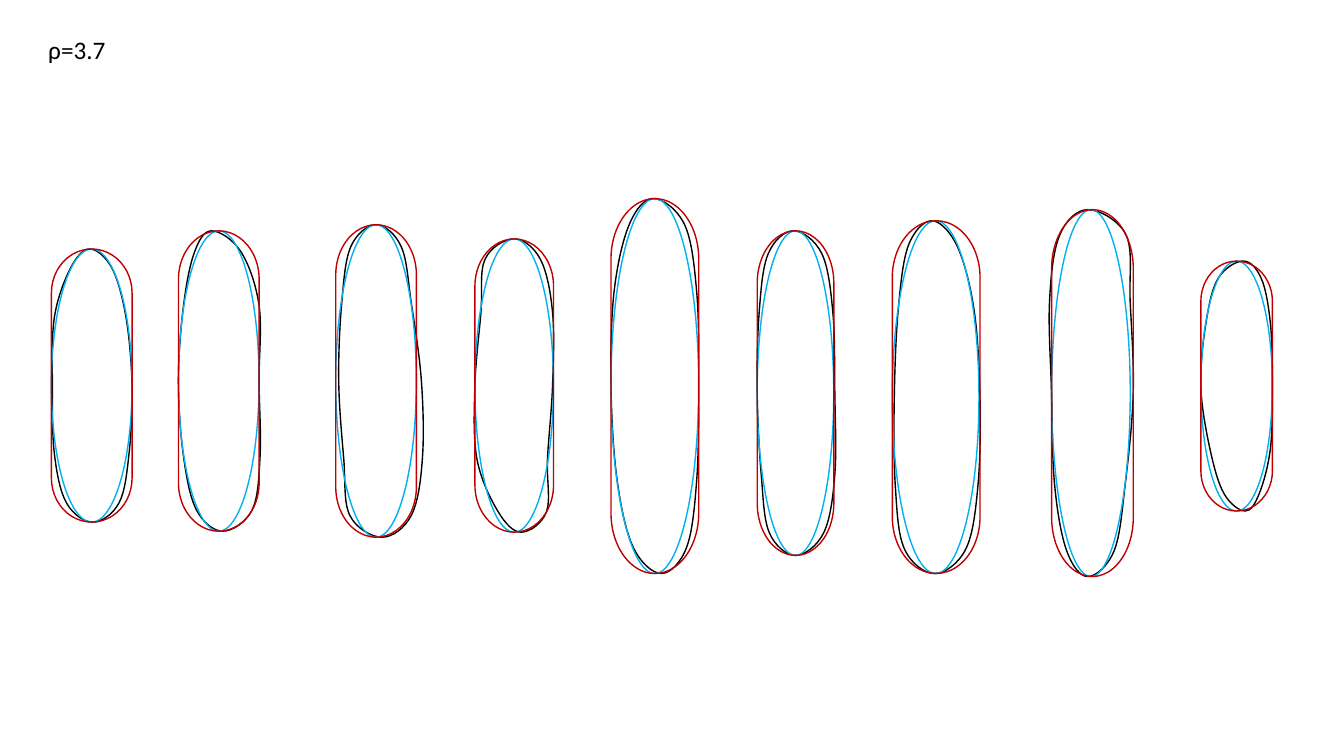
from dataclasses import dataclass
from math import cos, radians, sin

from lxml import etree
from pptx import Presentation
from pptx.dml.color import RGBColor
from pptx.enum.shapes import MSO_SHAPE
from pptx.enum.text import MSO_AUTO_SIZE
from pptx.oxml import parse_xml
from pptx.oxml.ns import nsdecls, qn
from pptx.shapes.autoshape import Shape
from pptx.shapes.shapetree import GroupShapes
from pptx.util import Inches, Pt

ELLIPSE = MSO_SHAPE.OVAL
CAPSULE = MSO_SHAPE.FLOWCHART_TERMINATOR
GROW = MSO_AUTO_SIZE.SHAPE_TO_FIT_TEXT

Point = tuple[float, float]
Profile = tuple[float, ...]

# Heights at which a cell's two sides are measured, as shares of its length
LEVELS: Profile = (0.07, 0.25, 0.5, 0.75, 0.93)


@dataclass(frozen=True)
class Theme:
    font: str = "Calibri"
    label_size: Pt = Pt(18)
    line_width: Pt = Pt(1)
    ink: RGBColor = RGBColor(0x00, 0x00, 0x00)
    ellipse: RGBColor = RGBColor(0x00, 0xB0, 0xF0)
    capsule: RGBColor = RGBColor(0xC0, 0x00, 0x00)


@dataclass(frozen=True)
class Cell:
    """Frame of a cell in inches; tips and sides are distances from its left edge."""
    left: float
    top: float
    width: float
    height: float
    tilt: float
    tips: Point
    left_side: Profile
    right_side: Profile
    capsule_extra: float = 0

    def outline(self) -> list[Point]:
        """Top tip, down the left side, bottom tip, up the right side."""
        top_tip, bottom_tip = self.tips
        left = list(zip(self.left_side, LEVELS))
        right = list(zip(self.right_side, LEVELS))
        loop = [(top_tip, 0), *left, (bottom_tip, 1), *reversed(right)]
        return [(self.left + x, self.top + level * self.height) for x, level in loop]


THEME = Theme()

CELLS = [
    Cell(0.51, 2.47, 0.8, 2.71, 314.4, (0.38, 0.41),
         (0.19, 0.03, 0.01, 0.03, 0.15), (0.6, 0.74, 0.8, 0.77, 0.67)),
    Cell(1.77, 2.29, 0.8, 2.98, 326, (0.33, 0.44),
         (0.16, 0.05, 0, 0.05, 0.18), (0.62, 0.8, 0.8, 0.81, 0.73)),
    Cell(3.33, 2.23, 0.8, 3.1, 13.9, (0.4, 0.46),
         (0.15, 0.06, 0.03, 0.08, 0.14), (0.65, 0.75, 0.85, 0.86, 0.75)),
    Cell(4.71, 2.37, 0.78, 2.91, 27.7, (0.39, 0.46),
         (0.1, 0.06, 0, 0.02, 0.23), (0.65, 0.77, 0.77, 0.72, 0.71)),
    Cell(6.06, 1.97, 0.87, 3.72, 29.8, (0.42, 0.5),
         (0.18, 0.03, 0, 0.06, 0.22), (0.73, 0.85, 0.87, 0.85, 0.75)),
    Cell(7.51, 2.29, 0.76, 3.22, 24.2, (0.36, 0.38),
         (0.11, 0.02, 0, 0.04, 0.12), (0.64, 0.75, 0.77, 0.77, 0.66)),
    Cell(8.85, 2.19, 0.86, 3.5, 315.8, (0.39, 0.42),
         (0.16, 0.06, 0.02, 0.03, 0.12), (0.64, 0.81, 0.87, 0.85, 0.73), 0.01),
    Cell(10.43, 2.08, 0.78, 3.64, 341.7, (0.36, 0.36),
         (0.08, -0.02, 0, 0.03, 0.15), (0.74, 0.78, 0.81, 0.73, 0.62), 0.03),
    Cell(11.91, 2.59, 0.71, 2.48, 279.9, (0.42, 0.44),
         (0.17, 0.05, 0, 0.09, 0.23), (0.6, 0.69, 0.71, 0.69, 0.58)),
]


def rotate(point: Point, degrees: float) -> Point:
    x, y = point
    c, s = cos(radians(degrees)), sin(radians(degrees))
    return x * c - y * s, x * s + y * c


def untilt(points: list[Point], tilt: float) -> list[Point]:
    """Points which, turned by tilt about the middle of their frame, land on the given ones."""
    level = [rotate(point, -tilt) for point in points]
    xs, ys = zip(*level)
    middle = (min(xs) + max(xs)) / 2, (min(ys) + max(ys)) / 2
    target = rotate(middle, tilt)
    dx, dy = target[0] - middle[0], target[1] - middle[1]
    return [(x + dx, y + dy) for x, y in level]


def style_line(shape: Shape, color: RGBColor) -> None:
    shape.shadow.inherit = False
    shape.fill.background()
    shape.line.color.rgb = color
    shape.line.width = THEME.line_width


def draw_outline(shapes: GroupShapes, cell: Cell) -> None:
    """Closed smooth curve whose tangents follow the neighbouring points."""
    points = [(Inches(x), Inches(y)) for x, y in untilt(cell.outline(), cell.tilt)]
    builder = shapes.build_freeform(*points[0])
    builder.add_line_segments(points[1:] + points[:1], close=True)
    outline = builder.convert_to_shape()
    left, top = outline.left, outline.top

    count = len(points)
    for i, straight in enumerate(list(outline._element.iter(qn("a:lnTo")))):
        before, start, end, after = (points[(i + k) % count] for k in (-1, 0, 1, 2))
        leaving = [s + (e - b) / 6 for b, s, e in zip(before, start, end)]
        arriving = [e - (a - s) / 6 for s, e, a in zip(start, end, after)]
        curve = parse_xml(f"<a:cubicBezTo {nsdecls('a')}/>")
        for x, y in (leaving, arriving, end):
            etree.SubElement(curve, qn("a:pt"), x=str(round(x - left)), y=str(round(y - top)))
        straight.getparent().replace(straight, curve)

    outline.rotation = cell.tilt
    style_line(outline, THEME.ink)


def draw_cell(shapes: GroupShapes, cell: Cell) -> None:
    draw_outline(shapes, cell)

    # Fitted ellipse
    ellipse = shapes.add_shape(ELLIPSE, Inches(cell.left), Inches(cell.top),
                               Inches(cell.width), Inches(cell.height))
    style_line(ellipse, THEME.ellipse)

    # Fitted capsule, a lying terminator turned upright
    thickness = cell.width + cell.capsule_extra
    overhang = (cell.height - thickness) / 2
    capsule = shapes.add_shape(CAPSULE, Inches(cell.left - overhang), Inches(cell.top + overhang),
                               Inches(cell.height), Inches(thickness))
    capsule.rotation = 90
    style_line(capsule, THEME.capsule)


def main() -> None:
    deck = Presentation()
    deck.slide_width, deck.slide_height = Inches(13.33), Inches(7.5)
    slide = deck.slides.add_slide(deck.slide_layouts[6])

    # Row of cells
    for cell in CELLS:
        draw_cell(slide.shapes.add_group_shape().shapes, cell)

    # Ratio label
    ratio = slide.shapes.add_textbox(Inches(0.38), Inches(0.29), Inches(0.78), Inches(0.4))
    frame = ratio.text_frame
    frame.word_wrap = False
    frame.auto_size = GROW
    run = frame.paragraphs[0].add_run()
    run.text = "ρ=3.7"
    run.font.name = THEME.font
    run.font.size = THEME.label_size
    run.font.color.rgb = THEME.ink

    deck.save("out.pptx")


if __name__ == "__main__":
    main()
